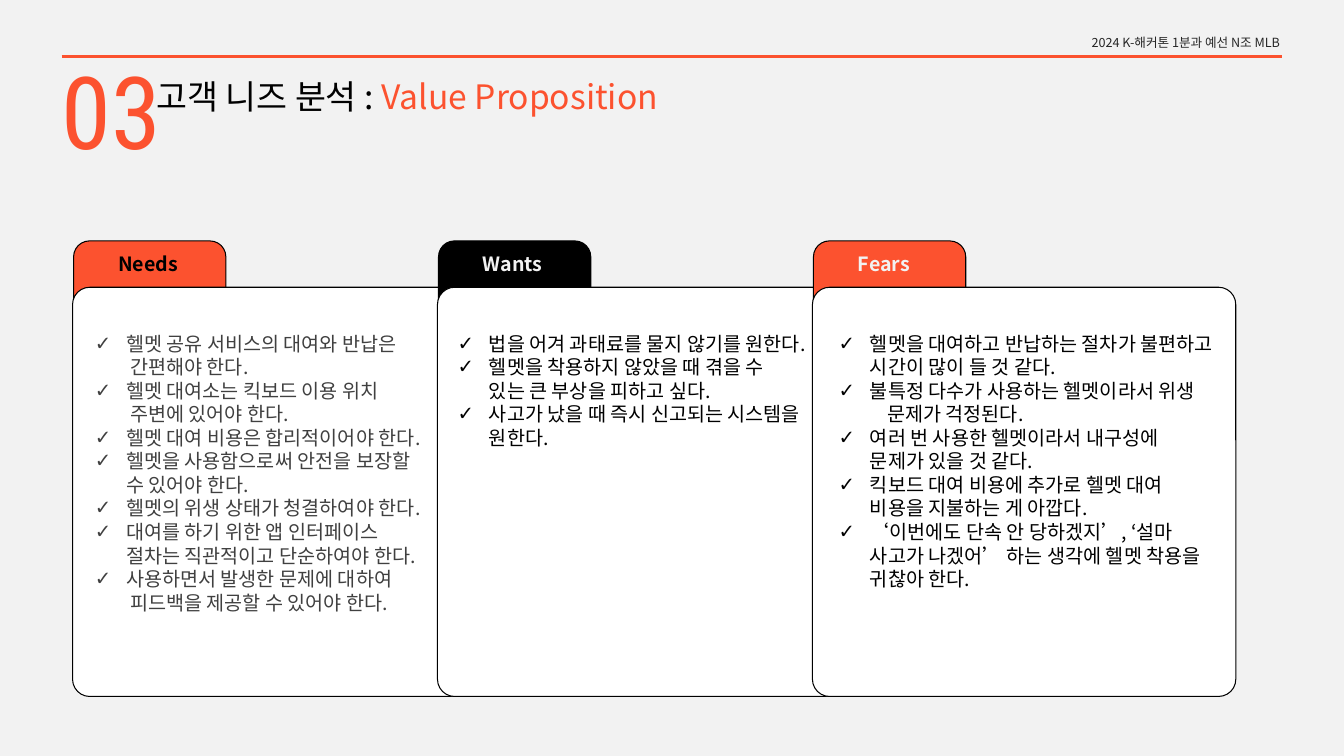
from lxml import etree
from pptx import Presentation
from pptx.dml.color import RGBColor
from pptx.enum.shapes import MSO_CONNECTOR, MSO_SHAPE
from pptx.enum.text import MSO_ANCHOR, MSO_AUTO_SIZE, PP_ALIGN
from pptx.oxml.ns import qn
from pptx.util import Inches, Pt

ROUNDED = MSO_SHAPE.ROUNDED_RECTANGLE
TAB_SHAPE = MSO_SHAPE.ROUND_2_SAME_RECTANGLE
STRAIGHT = MSO_CONNECTOR.STRAIGHT
TOP, LEFT, NO_FIT = MSO_ANCHOR.TOP, PP_ALIGN.LEFT, MSO_AUTO_SIZE.NONE

ORANGE = RGBColor(0xFC, 0x52, 0x2F)
BLACK = RGBColor(0, 0, 0)
WHITE = RGBColor(0xFF, 0xFF, 0xFF)
PALE = RGBColor(0xF2, 0xF2, 0xF2)
GRAY = RGBColor(0x40, 0x40, 0x40)
DARK = RGBColor(0x26, 0x26, 0x26)

KOREAN, DIGITS = "Noto Sans CJK KR", "Roboto Condensed"
COMPARISON_LAYOUT = 4
BULLET_INDENT = 2.33
CONTINUED = 2.63
CARD_TOP = 38

# Card left, tab colour, label, label colour, list offset, list width,
# list height, list colour, items; an item with an indent has no check mark.
CARDS = [
    (5.4, ORANGE, "Needs", BLACK, 0.9, 26.03, 39.07, GRAY, [
        "헬멧 공유 서비스의 대여와 반납은",
        ("간편해야 한다.", CONTINUED),
        "헬멧 대여소는 킥보드 이용 위치",
        ("주변에 있어야 한다.", CONTINUED),
        "헬멧 대여 비용은 합리적이어야 한다.",
        "헬멧을 사용함으로써 안전을 보장할 수 있어야 한다.",
        "헬멧의 위생 상태가 청결하여야 한다.",
        "대여를 하기 위한 앱 인터페이스 절차는 직관적이고 단순하여야 한다.",
        "사용하면서 발생한 문제에 대하여",
        ("피드백을 제공할 수 있어야 한다.", CONTINUED),
    ]),
    (32.55, BLACK, "Wants", PALE, 0.75, 27.3, 17.07, BLACK, [
        "법을 어겨 과태료를 물지 않기를 원한다.",
        "헬멧을 착용하지 않았을 때 겪을 수 있는 큰 부상을 피하고 싶다.",
        "사고가 났을 때 즉시 신고되는 시스템을 원한다.",
    ]),
    (60.45, ORANGE, "Fears", PALE, 1.2, 29.48, 32.8, BLACK, [
        "헬멧을 대여하고 반납하는 절차가 불편하고 시간이 많이 들 것 같다.",
        "불특정 다수가 사용하는 헬멧이라서 위생",
        ("문제가 걱정된다.", 3.6),
        "여러 번 사용한 헬멧이라서 내구성에 문제가 있을 것 같다.",
        "킥보드 대여 비용에 추가로 헬멧 대여 비용을 지불하는 게 아깝다.",
        "‘이번에도 단속 안 당하겠지’, ‘설마 사고가 나겠어’ 하는 생각에 헬멧 착용을 귀찮아 한다.",
    ]),
]


class Page:
    """A slide measured in a grid of 100 columns by 100 rows."""

    def __init__(self, deck):
        self.column = deck.slide_width / 100
        self.row = deck.slide_height / 100
        self.slide = deck.slides.add_slide(deck.slide_layouts[COMPARISON_LAYOUT])
        self.slide.background.fill.solid()
        self.slide.background.fill.fore_color.rgb = PALE

    def grid(self, left, top, width, height):
        return (round(left * self.column), round(top * self.row),
                round(width * self.column), round(height * self.row))

    def style(self, para, size, color, font=KOREAN, bold=False):
        para.alignment = LEFT
        para.space_before = Pt(0)
        if font == KOREAN:
            para.line_spacing = Pt(round(size * 1.2, 1))
        para.font.name, para.font.size, para.font.bold = font, Pt(size), bold
        para.font.color.rgb = color
        defaults = para._p.pPr.find(qn("a:defRPr"))
        etree.SubElement(defaults, qn("a:ea"), typeface=font)

    def panel(self, shape, place, fill, radius):
        box = self.slide.shapes.add_shape(shape, *self.grid(*place))
        box.adjustments[0] = radius
        box.shadow.inherit = False
        box.fill.solid()
        box.fill.fore_color.rgb = fill
        box.line.color.rgb = BLACK
        box.line.width = Pt(0.75)

    def text(self, text, place, size, color, **style):
        box = self.slide.shapes.add_textbox(*self.grid(*place))
        box.text_frame.word_wrap = True
        para = box.text_frame.paragraphs[0]
        para.text = text
        self.style(para, size, color, **style)

    def placeholder(self, index, place):
        """Move a placeholder to its place, in front of everything drawn so far."""
        box = self.slide.placeholders[index]
        box.left, box.top, box.width, box.height = self.grid(*place)
        self.slide.shapes._spTree.append(box._element)
        frame = box.text_frame
        frame.word_wrap, frame.auto_size, frame.vertical_anchor = True, NO_FIT, TOP
        return frame

    def title(self, text, accent, place):
        para = self.placeholder(0, place).paragraphs[0]
        para.add_run().text = text
        span = para.add_run()
        span.text = accent
        span.font.color.rgb = ORANGE
        self.style(para, 24, BLACK)

    def checklist(self, index, items, place, color):
        frame = self.placeholder(index, place)
        for number, item in enumerate(items):
            para = frame.add_paragraph() if number else frame.paragraphs[0]
            checked = isinstance(item, str)
            para.text, indent = (item, BULLET_INDENT) if checked else item
            settings = para._p.get_or_add_pPr()
            margin = round(indent * self.column)
            settings.set("marL", str(margin))
            settings.set("indent", str(-margin if checked else 0))
            if checked:
                etree.SubElement(settings, qn("a:buChar"), char="✓")
            else:
                etree.SubElement(settings, qn("a:buNone"))
            self.style(para, 14, color)

    def rule(self, left, right, top):
        start_x, y, end_x, _ = self.grid(left, top, right, 0)
        line = self.slide.shapes.add_connector(STRAIGHT, start_x, y, end_x, y)
        line.line.color.rgb = ORANGE
        line.line.width = Pt(2.25)
        etree.SubElement(line._element.spPr, qn("a:effectLst"))

    def remove_placeholder(self, index):
        element = self.slide.placeholders[index]._element
        element.getparent().remove(element)


def main():
    deck = Presentation()
    deck.slide_width, deck.slide_height = Inches(13.33), Inches(7.5)
    page = Page(deck)
    for left, tab_color, label, label_color, *_ in CARDS:
        page.panel(TAB_SHAPE, (left + 0.08, 31.87, 11.33, 19.07), tab_color, 0.11)
        page.panel(ROUNDED, (left, CARD_TOP, 31.5, 54.13), WHITE, 0.042)
        page.text(label, (left + 2.65, 32.67, 27.98, 4.53), 14, label_color, bold=True)
    for index, card in enumerate(CARDS, start=1):
        left, *_, offset, width, height, color, items = card
        page.checklist(index, items, (left + offset, 43.2, width, height), color)
    page.remove_placeholder(4)
    page.rule(4.58, 95.4, 7.47)
    page.text("2024 K-해커톤 1분과 예선 N조 MLB", (80.48, 4, 18.75, 3.33), 9, DARK)
    page.title("고객 니즈 분석 :", " Value Proposition", (10.88, 9.33, 45.08, 6.67))
    page.text("03", (3.83, 5.73, 13.28, 33.6), 72, ORANGE, font=DIGITS)
    deck.save("out.pptx")


if __name__ == "__main__":
    main()
